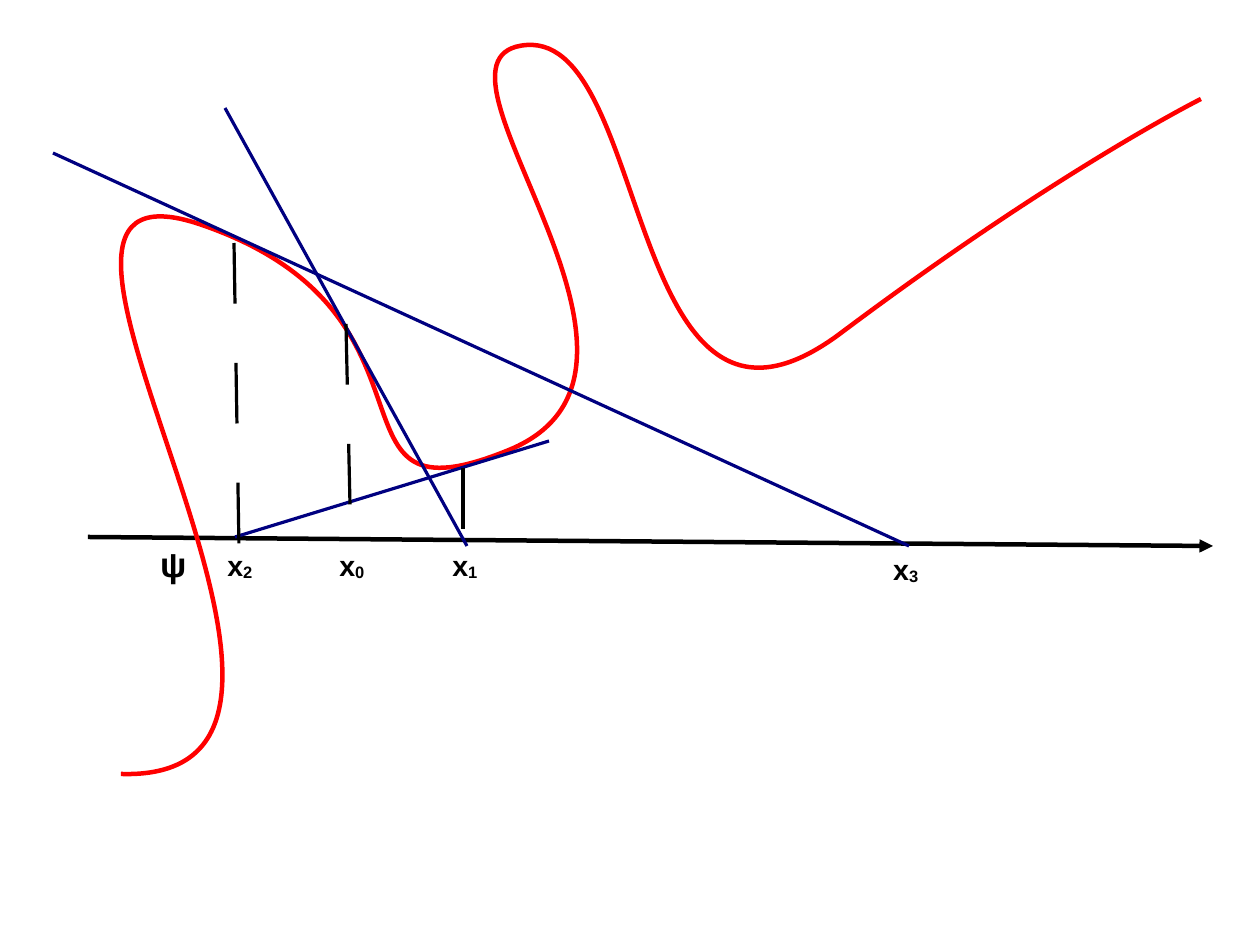
from lxml import etree
from pptx import Presentation
from pptx.dml.color import RGBColor
from pptx.enum.shapes import MSO_CONNECTOR as Connector
from pptx.enum.text import MSO_AUTO_SIZE as AutoSize
from pptx.oxml.ns import qn
from pptx.util import Emu, Pt

PX = 8000  # EMU per px
BLACK = RGBColor(0x00, 0x00, 0x00)
RED = RGBColor(0xFF, 0x00, 0x00)
NAVY = RGBColor(0x00, 0x00, 0x80)
FONT = "Arial"
THICK = 2.83
HAIRLINE = 0

CURVE_START = (121, 774)
# Two control points and an end point for each arc
CURVE_ARCS = [
    [(418, 783), (-58, 135), (202, 225)],
    [(463, 315), (311, 531), (509, 450)],
    [(706, 369), (400, 54), (527, 45)],
    [(653, 37), (625, 495), (841, 333)],
    [(1057, 171), (1201, 99), (1201, 99)],
]
TANGENTS = [
    ((225, 108), (467, 546)),
    ((235, 537), (549, 441)),
    ((53, 153), (909, 546)),
]
ORDINATES = [
    ((234, 243), (239, 549)),
    ((463, 468), (463, 549)),
    ((346, 324), (351, 549)),
]
ITERATES = [("0", 328, 542), ("1", 441, 542), ("2", 216, 542), ("3", 882, 546)]


def px(value):
    return Emu(value * PX)


def add_line(slide, start, end, color, width=HAIRLINE, dashed=False, arrow=False):
    line = slide.shapes.add_connector(
        Connector.STRAIGHT, *[px(value) for value in (*start, *end)])
    line.line.color.rgb = color
    line.line.width = Pt(width)
    properties = line._element.spPr
    outline = properties.find(qn("a:ln"))
    if dashed:
        dash = etree.SubElement(outline, qn("a:custDash"))
        etree.SubElement(dash, qn("a:ds"), d="1900000", sp="1850000")
    if arrow:
        etree.SubElement(outline, qn("a:tailEnd"), type="triangle")
    etree.SubElement(properties, qn("a:effectLst"))


def add_curve(slide, start, arcs, color, width):
    anchors = [arc[-1] for arc in arcs]
    builder = slide.shapes.build_freeform(*start, scale=PX)
    builder.add_line_segments(anchors, close=False)
    curve = builder.convert_to_shape()
    curve.shadow.inherit = False
    curve.fill.background()
    curve.line.color.rgb = color
    curve.line.width = Pt(width)

    # Turn each straight segment into a Bézier arc
    left, top = map(min, zip(start, *anchors))
    segments = list(curve._element.iter(qn("a:lnTo")))
    for segment, arc in zip(segments, arcs):
        bezier = etree.Element(qn("a:cubicBezTo"))
        for x, y in arc:
            etree.SubElement(bezier, qn("a:pt"), x=str(x - left), y=str(y - top))
        segment.getparent().replace(segment, bezier)


def add_label(slide, text, left, top, width, height, *, size=18, subscript=""):
    box = slide.shapes.add_textbox(px(left), px(top), px(width), px(height))
    frame = box.text_frame
    frame.word_wrap = False
    frame.auto_size = AutoSize.SHAPE_TO_FIT_TEXT
    para = frame.paragraphs[0]
    for part in filter(None, (text, subscript)):
        span = para.add_run()
        span.text = part
        span.font.name = FONT
        span.font.size = Pt(size)
        span.font.bold = True
        span.font.color.rgb = BLACK
    if subscript:
        span.font._element.set("baseline", "-8000")


def main():
    deck = Presentation()
    deck.slide_width, deck.slide_height = px(1260), px(945)
    slide = deck.slides.add_slide(deck.slide_layouts[6])

    # Axis and its root
    add_line(slide, (88, 537), (1213, 546), BLACK, THICK, arrow=True)
    add_label(slide, "ψ", 149, 537, 49, 50, size=22)

    # Function curve
    add_curve(slide, CURVE_START, CURVE_ARCS, RED, THICK)

    # Tangents and ordinates
    for start, end in TANGENTS:
        add_line(slide, start, end, NAVY)
    for start, end in ORDINATES:
        add_line(slide, start, end, BLACK, dashed=True)

    # Iterates along the axis
    for index, left, top in ITERATES:
        add_label(slide, "x", left, top, 48, 53, subscript=index)

    deck.save("out.pptx")


if __name__ == "__main__":
    main()
